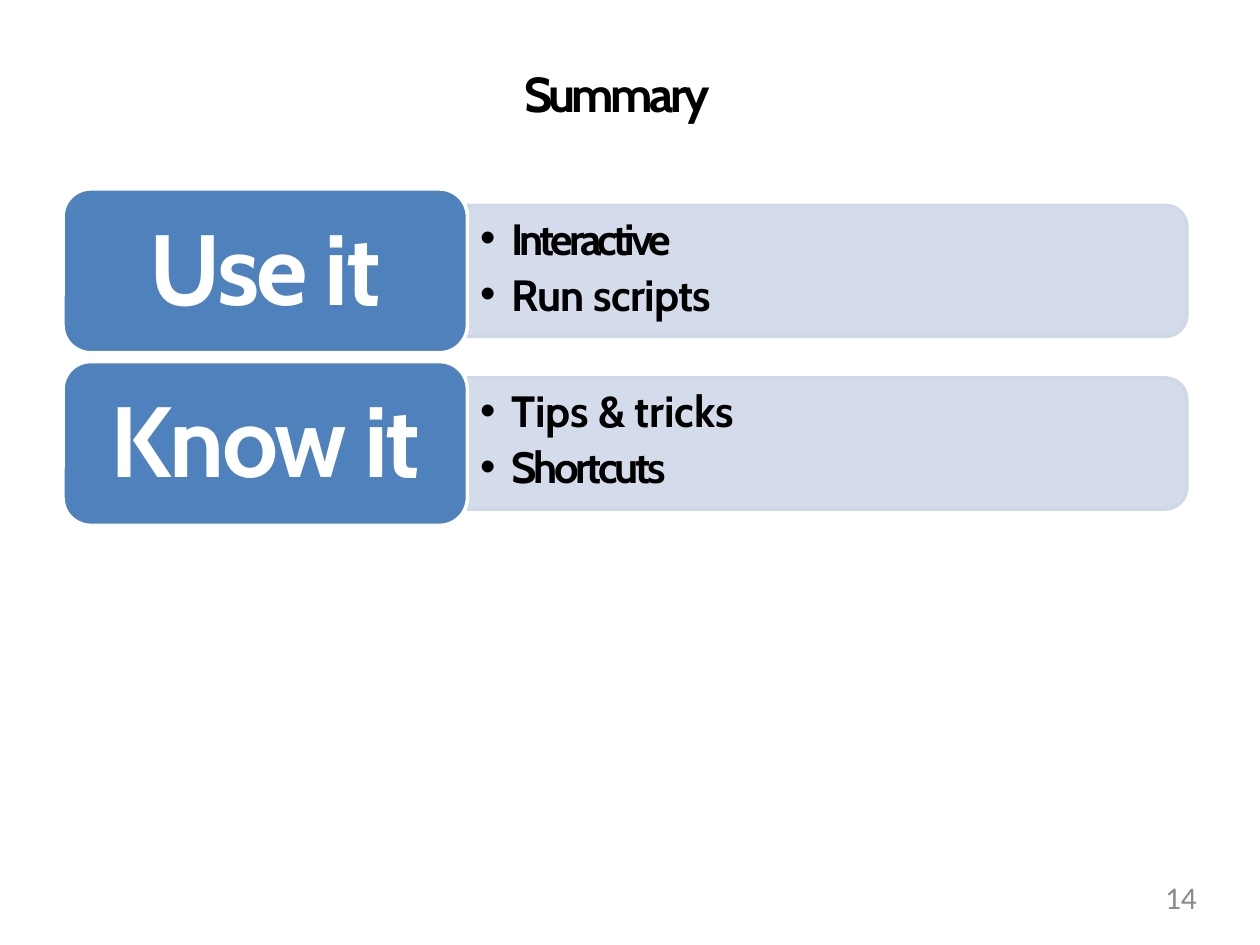
import math
from lxml import etree
from pptx import Presentation
from pptx.dml.color import RGBColor
from pptx.enum.shapes import MSO_SHAPE
from pptx.enum.text import MSO_ANCHOR, PP_ALIGN
from pptx.oxml.ns import qn
from pptx.util import Inches, Pt

ROUND = MSO_SHAPE.ROUNDED_RECTANGLE
TOP, MIDDLE = MSO_ANCHOR.TOP, MSO_ANCHOR.MIDDLE
LEFT, CENTER, RIGHT = PP_ALIGN.LEFT, PP_ALIGN.CENTER, PP_ALIGN.RIGHT

BLUE, PALE, WHITE, BLACK, GRAY = "4F81BD", "D0D8E8", "FFFFFF", "000000", "8C8C8C"

# Each text comes with its letter spacing in points
TITLE = ("Summary", -2.1)
PAGE = "14"
ROWS = [
    (("Use it", -1.6), [("Interactive", -2.2), ("Run scripts", -0.4)]),
    (("Know it", -1.6), [("Tips & tricks", -0.1), ("Shortcuts", -1.9)]),
]

LABEL_X, LABEL_Y, LABEL_W, LABEL_H = 0.5, 1.5, 3.21, 1.3
PITCH = 1.37
PANEL_X, PANEL_W, PANEL_H = LABEL_X + LABEL_W, 5.71, 1.04
LABEL_R, PANEL_R = 0.22, 0.17


def rgb(code):
    return RGBColor.from_string(code)


def paint(shape, fill, line):
    shape.shadow.inherit = False
    shape.fill.solid()
    shape.fill.fore_color.rgb = rgb(fill)
    shape.line.color.rgb = rgb(line)
    shape.line.width = Pt(2.04)


def frame(shape, insets=(0, 0, 0, 0), anchor=TOP):
    """Set wrapping, anchor and insets (left, top, right, bottom)."""
    box = shape.text_frame
    box.word_wrap = True
    box.vertical_anchor = anchor
    (box.margin_left, box.margin_top,
     box.margin_right, box.margin_bottom) = map(Inches, insets)
    return box


def style(para, size, color, align=LEFT, gap=0, face="Cabin", bold=True):
    """Format a paragraph; gap is the letter spacing in points."""
    para.alignment = align
    for run in para.runs:
        font = run.font
        font.name, font.size, font.bold = face, Pt(size), bold
        font.color.rgb = rgb(color)
        if gap:
            run._r.get_or_add_rPr().set("spc", str(round(gap * 100)))


def bullet(para):
    props = para._p.get_or_add_pPr()
    props.set("marL", str(Inches(0.26)))
    props.set("indent", str(Inches(-0.25)))
    etree.SubElement(props, qn("a:buFont")).set("typeface", "Arial")
    etree.SubElement(props, qn("a:buChar")).set("char", "•")


def add_text(slide, text, place, size, color, **look):
    box = frame(slide.shapes.add_textbox(*map(Inches, place)))
    box.text = text
    style(box.paragraphs[0], size, color, **look)


def add_panel(slide, y, items):
    """Draw a panel rounded on its right side, holding bullets."""
    right, low, r = PANEL_X + PANEL_W, y + PANEL_H, PANEL_R
    points = []
    for mid, start in ((y + r, -90), (low - r, 0)):
        for step in range(0, 91, 15):
            turn = math.radians(start + step)
            points.append((right - r + r * math.cos(turn), mid + r * math.sin(turn)))
    points.append((PANEL_X, low))
    path = slide.shapes.build_freeform(Inches(PANEL_X), Inches(y))
    path.add_line_segments([(Inches(a), Inches(b)) for a, b in points])
    panel = path.convert_to_shape()
    paint(panel, PALE, PALE)
    color = panel.fill._xPr.find(qn("a:solidFill"))[0]
    etree.SubElement(color, qn("a:alpha")).set("val", "90000")

    box = frame(panel, (0.09, 0.05, 0, 0))
    box.text = "\n".join(text for text, _ in items)
    for i, (para, (_, gap)) in enumerate(zip(box.paragraphs, items)):
        bullet(para)
        if i:
            para.space_before = Pt(2)
        style(para, 25, BLACK, gap=gap)


def add_label(slide, y, text, gap):
    label = slide.shapes.add_shape(
        ROUND, *map(Inches, (LABEL_X, y, LABEL_W, LABEL_H)))
    label.adjustments[0] = LABEL_R / LABEL_H
    paint(label, BLUE, WHITE)
    box = frame(label, (0, 0, 0, 0.09), MIDDLE)
    box.text = text
    style(box.paragraphs[0], 57, WHITE, align=CENTER, gap=gap)


def main():
    deck = Presentation()
    deck.slide_width, deck.slide_height = Inches(10), Inches(7.5)
    slide = deck.slides.add_slide(deck.slide_layouts[6])

    title, gap = TITLE
    add_text(slide, title, (4.16, 0.5, 1.69, 0.48), 28, BLACK, gap=gap)
    for i, (label, items) in enumerate(ROWS):
        y = LABEL_Y + i * PITCH
        add_panel(slide, y + (LABEL_H - PANEL_H) / 2, items)
        add_label(slide, y, *label)
    add_text(slide, PAGE, (7.2, 6.97, 2.3, 0.38), 18, GRAY,
             align=RIGHT, face="Calibri", bold=False)
    deck.save("out.pptx")


if __name__ == "__main__":
    main()
